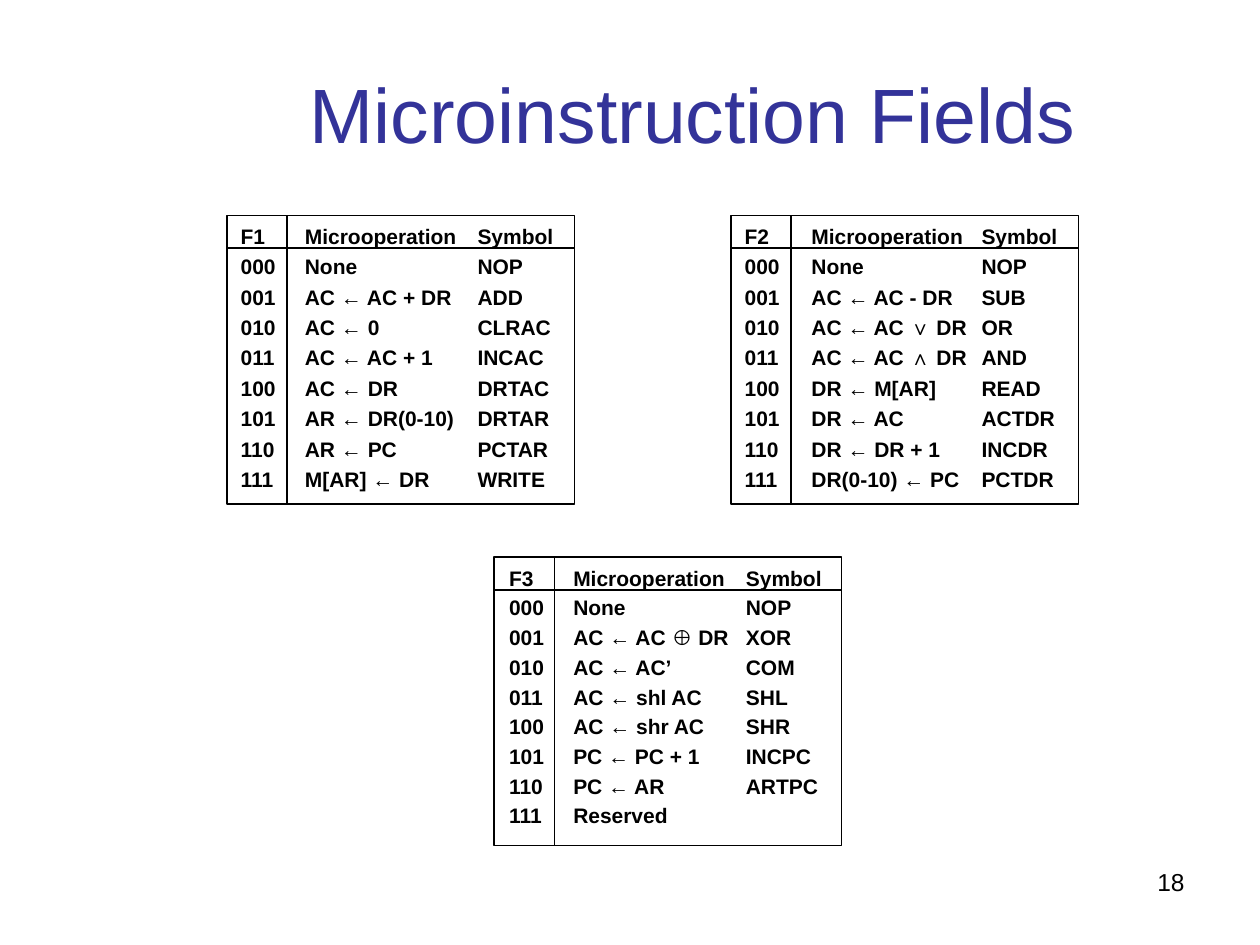
from dataclasses import dataclass

from lxml import etree
from pptx import Presentation
from pptx.dml.color import RGBColor
from pptx.enum.shapes import MSO_CONNECTOR, MSO_SHAPE
from pptx.enum.text import MSO_ANCHOR, PP_ALIGN
from pptx.oxml.ns import qn
from pptx.util import Inches, Pt

CENTER, RIGHT, LEFT = PP_ALIGN.CENTER, PP_ALIGN.RIGHT, PP_ALIGN.LEFT
TOP, MIDDLE = MSO_ANCHOR.TOP, MSO_ANCHOR.MIDDLE
RECTANGLE, STRAIGHT = MSO_SHAPE.RECTANGLE, MSO_CONNECTOR.STRAIGHT


@dataclass(frozen=True)
class Theme:
    font: str = "Arial"
    ink: str = "000000"
    title: str = "333399"
    title_size: int = 44
    number_size: int = 14
    field_size: int = 12
    rule: int = 1


THEME = Theme()
FRAME_SIZE = (2.76, 2.29)
HEADER_HEIGHT = 0.26
CODE_WIDTH = 0.48
SYMBOL_TAB = 1.88

F1 = [
    ("None", "NOP"), ("AC ← AC + DR", "ADD"), ("AC ← 0", "CLRAC"),
    ("AC ← AC + 1", "INCAC"), ("AC ← DR", "DRTAC"),
    ("AR ← DR(0-10)", "DRTAR"), ("AR ← PC", "PCTAR"),
    ("M[AR] ← DR", "WRITE"),
]
F2 = [
    ("None", "NOP"), ("AC ← AC - DR", "SUB"), ("AC ← AC ∨ DR", "OR"),
    ("AC ← AC ∧ DR", "AND"), ("DR ← M[AR]", "READ"),
    ("DR ← AC", "ACTDR"), ("DR ← DR + 1", "INCDR"),
    ("DR(0-10) ← PC", "PCTDR"),
]
F3 = [
    ("None", "NOP"), ("AC ← AC ⊕ DR", "XOR"), ("AC ← AC’", "COM"),
    ("AC ← shl AC", "SHL"), ("AC ← shr AC", "SHR"),
    ("PC ← PC + 1", "INCPC"), ("PC ← AR", "ARTPC"), ("Reserved",),
]
FIELDS = [
    ("F1", F1, (1.8, 1.71), (1.84, 1.7, 3, 2.23), 0.51, 1.21),
    ("F2", F2, (5.8, 1.71), (5.84, 1.7, 3.94, 2.23), 0.53, 1.21),
    ("F3", F3, (3.92, 4.42), (3.97, 4.42, 4.44, 2.18), 0.51, 1.18),
]


def add_text_frame(s, box, **formats):
    tf = s.shapes.add_textbox(*map(Inches, box)).text_frame
    tf.word_wrap = True
    for name, value in formats.items():
        setattr(tf, name, value)
    return tf


def write(p, text, size, color, bold=False, align=LEFT):
    p.alignment = align
    r = p.add_run()
    r.text = text
    r.font.color.rgb = RGBColor.from_string(color)
    formats = {"name": THEME.font, "size": Pt(size), "bold": bold}
    for name, value in formats.items():
        setattr(r.font, name, value)


def add_label(s, box, text, size, color, align, anchor):
    tf = add_text_frame(s, box, vertical_anchor=anchor)
    write(tf.paragraphs[0], text, size, color, align=align)


def style_line(shape):
    shape.line.color.rgb = RGBColor.from_string(THEME.ink)
    shape.line.width = Pt(THEME.rule)


def add_rule(s, *ends):
    line = s.shapes.add_connector(STRAIGHT, *map(Inches, ends))
    etree.SubElement(line._element.spPr, qn("a:effectLst"))
    style_line(line)


def add_grid(s, left, top):
    width, height = FRAME_SIZE
    frame = s.shapes.add_shape(RECTANGLE, *map(Inches, (left, top, width, height)))
    frame.shadow.inherit = False
    frame.fill.background()
    style_line(frame)
    header, divider = top + HEADER_HEIGHT, left + CODE_WIDTH
    add_rule(s, left, header, left + width, header)
    add_rule(s, divider, top, divider, top + height)


def add_tabs(p, *stops):
    tabs = etree.SubElement(p._p.get_or_add_pPr(), qn("a:tabLst"))
    for stop in stops:
        etree.SubElement(tabs, qn("a:tab"), pos=str(Inches(stop)), algn="l")


def add_field(s, name, operations, origin, box, operation_tab, spacing):
    tf = add_text_frame(
        s, box, margin_left=Inches(0.07), margin_right=Inches(0.07),
        margin_top=Inches(0.03), margin_bottom=Inches(0.03))
    rows = [(name, "Microoperation", "Symbol")]
    rows += [(f"{i:03b}", *row) for i, row in enumerate(operations)]
    for i, row in enumerate(rows):
        p = tf.add_paragraph() if i else tf.paragraphs[0]
        add_tabs(p, operation_tab, SYMBOL_TAB)
        p.line_spacing = spacing
        write(p, "\t".join(row), THEME.field_size, THEME.ink, bold=True)
    add_grid(s, *origin)


def main():
    prs = Presentation()
    prs.slide_width, prs.slide_height = Inches(10), Inches(7.5)
    s = prs.slides.add_slide(prs.slide_layouts[6])
    add_label(s, (7.17, 6.83, 2.33, 0.52), "18",
              THEME.number_size, THEME.ink, RIGHT, TOP)
    add_label(s, (1.25, 0.27, 8.5, 1.25), "Microinstruction Fields",
              THEME.title_size, THEME.title, CENTER, MIDDLE)
    for field in FIELDS:
        add_field(s, *field)
    prs.save("out.pptx")


if __name__ == "__main__":
    main()
